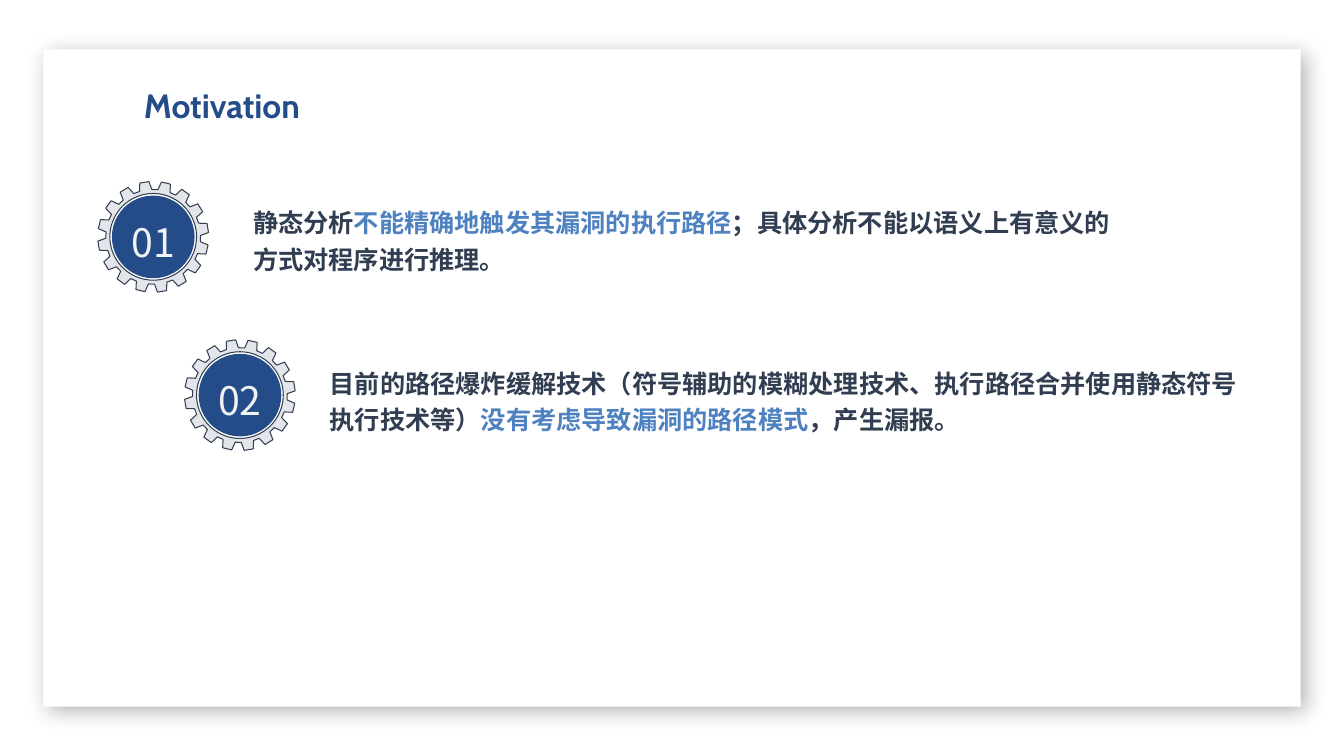
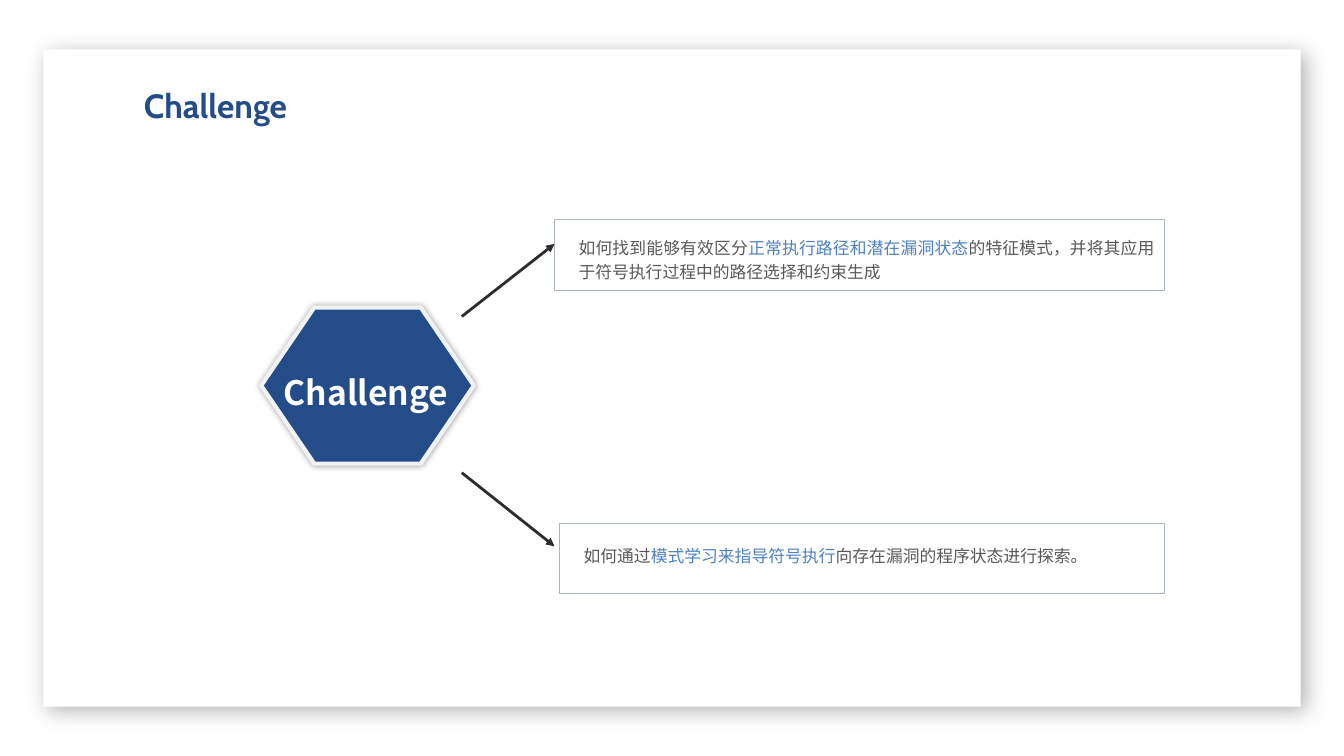
from math import cos, radians, sin

from lxml import etree
from pptx import Presentation
from pptx.dml.color import RGBColor
from pptx.enum.shapes import MSO_CONNECTOR, MSO_SHAPE
from pptx.enum.text import MSO_AUTO_SIZE, PP_ALIGN
from pptx.oxml.ns import qn
from pptx.util import Inches, Pt

RECTANGLE, OVAL, HEXAGON = MSO_SHAPE.RECTANGLE, MSO_SHAPE.OVAL, MSO_SHAPE.HEXAGON
STRAIGHT = MSO_CONNECTOR.STRAIGHT
LEFT, CENTER, JUSTIFY = PP_ALIGN.LEFT, PP_ALIGN.CENTER, PP_ALIGN.JUSTIFY

COLORS = {
    "white": "FFFFFF", "navy": "244C89", "highlight": "4E81C0", "ink": "313D51",
    "gray": "595959", "pale": "F0F2F4", "gear": "E2E6EA", "gear_edge": "333F50",
    "box_edge": "AAB5C1", "arrow": "2E2C2C", "shadow": "000000",
}
HAN = "Noto Sans CJK SC"
TITLE = {"size": Pt(24), "bold": True, "name": "Cabin"}
STATEMENT = {"size": Pt(18), "bold": True, "name": HAN}
NUMBER = {"size": Pt(28), "name": HAN}
HUB = {"size": Pt(24), "bold": True, "name": HAN}
QUESTION = {"size": Pt(12), "name": HAN}


def add_text(page, place, spans, style, align=LEFT, wrap=True, inset=True):
    box = page.shapes.add_textbox(*map(Inches, place))
    frame = box.text_frame
    frame.word_wrap = wrap
    frame.auto_size = MSO_AUTO_SIZE.NONE
    if not inset:
        for side in ("left", "top", "right", "bottom"):
            setattr(frame, f"margin_{side}", 0)
    para = frame.paragraphs[0]
    para.alignment = align
    para.line_spacing = 1.2
    for words, color in spans:
        span = para.add_run()
        span.text = words
        for name, value in style.items():
            setattr(span.font, name, value)
        span.font.color.rgb = RGBColor.from_string(COLORS[color])
        east_asian = etree.SubElement(span.font._element, qn("a:ea"))
        east_asian.set("typeface", style["name"])


def paint(shape, fill, line=None, width=0, shadow=None):
    shape.shadow.inherit = False
    shape.fill.solid()
    shape.fill.fore_color.rgb = RGBColor.from_string(COLORS[fill])
    if line:
        shape.line.color.rgb = RGBColor.from_string(COLORS[line])
        shape.line.width = Pt(width)
    else:
        shape.line.fill.background()
    if shadow:
        opacity, blur, distance, angle = shadow
        effects = shape._element.spPr.find(qn("a:effectLst"))
        outer = etree.SubElement(
            effects, qn("a:outerShdw"), blurRad=str(Pt(blur)), dist=str(Pt(distance)),
            dir=str(angle * 60000), algn="ctr", rotWithShape="0")
        color = etree.SubElement(outer, qn("a:srgbClr"), val=COLORS["shadow"])
        etree.SubElement(color, qn("a:alpha"), val=str(opacity * 1000))


deck = Presentation()
deck.slide_width, deck.slide_height = Inches(13.33), Inches(7.5)
pages = []
for title in ("Motivation", "Challenge"):
    page = deck.slides.add_slide(deck.slide_layouts[6])
    card = page.shapes.add_shape(RECTANGLE, *map(Inches, (0.43, 0.49, 12.47, 6.52)))
    paint(card, "white", shadow=(30, 15, 5, 45))
    add_text(page, (1.33, 0.71, 2.74, 0.54), [(title, "navy")], TITLE)
    pages.append(page)
motivation, challenge = pages

STATEMENTS = [
    ("01", 1.52, 2.35, (2.51, 2, 8.73, 0.7), [
        ("静态分析", "ink"),
        ("不能精确地触发其漏洞的执行路径", "highlight"),
        ("；具体分析不能以语义上有意义的方式对程序进行推理。", "ink")]),
    ("02", 2.38, 3.92, (3.27, 3.59, 9.14, 0.7), [
        ("目前的路径爆炸缓解技术（符号辅助的模糊处理技术、执行路径合并使用静态符号执行技术等）", "ink"),
        ("没有考虑导致漏洞的路径模式", "highlight"),
        ("，产生漏报。", "ink")]),
]
TEETH = 16
TOOTH_CORNERS = [(-7.5, 0.47), (-4.8, 0.55), (4.8, 0.55), (7.5, 0.47)]
rim = [(103.3 + tooth * 360 / TEETH + turn, radius)
       for tooth in range(TEETH) for turn, radius in TOOTH_CORNERS]
hole = [(angle, 0.43) for angle in range(0, 360, 5)]
disc_radius = 0.41

for number, center_x, center_y, place, spans in STATEMENTS:
    add_text(motivation, place, spans, STATEMENT, inset=False)
    outlines = [[(Inches(center_x + radius * cos(radians(angle))),
                  Inches(center_y + radius * sin(radians(angle))))
                 for angle, radius in ring] for ring in (hole, rim)]
    builder = motivation.shapes.build_freeform(*outlines[0][0])
    builder.add_line_segments(outlines[0][1:], close=True)
    builder.move_to(*outlines[1][0])
    builder.add_line_segments(outlines[1][1:], close=True)
    paint(builder.convert_to_shape(), "gear", "gear_edge", 0.75)
    disc = motivation.shapes.add_shape(
        OVAL, Inches(center_x - disc_radius), Inches(center_y - disc_radius),
        Inches(2 * disc_radius), Inches(2 * disc_radius))
    paint(disc, "navy")
    add_text(motivation, (center_x - 0.33, center_y - 0.33, 0.66, 0.62),
             [(number, "pale")], NUMBER, CENTER, wrap=False)

hub = challenge.shapes.add_shape(HEXAGON, *map(Inches, (2.59, 3.05, 2.11, 1.55)))
hub.adjustments[0] = 0.34
paint(hub, "navy", "pale", 3, shadow=(40, 5, 0, 0))
add_text(challenge, (2.67, 3.56, 1.92, 0.55), [("Challenge", "white")], HUB, CENTER)

QUESTIONS = [
    (3.14, 2.42, (5.5, 2.18, 6.05, 0.7), (5.64, 2.27, 5.91, 0.57), [
        ("如何找到能够有效区分", "gray"),
        ("正常执行路径和潜在漏洞状态", "highlight"),
        ("的特征模式，并将其应用于符号执行过程中的路径选择和约束生成", "gray")]),
    (4.69, 5.42, (5.55, 5.19, 6, 0.7), (5.69, 5.32, 5.86, 0.32), [
        ("如何通过", "gray"),
        ("模式学习来指导符号执行", "highlight"),
        ("向存在漏洞的程序状态进行探索。", "gray")]),
]
for start_y, end_y, box_place, text_place, spans in QUESTIONS:
    arrow = challenge.shapes.add_connector(
        STRAIGHT, *map(Inches, (4.58, start_y, 5.5, end_y)))
    arrow.line.color.rgb = RGBColor.from_string(COLORS["arrow"])
    arrow.line.width = Pt(0)
    etree.SubElement(arrow.line._get_or_add_ln(), qn("a:tailEnd"), type="triangle")
    etree.SubElement(arrow._element.spPr, qn("a:effectLst"))
    box = challenge.shapes.add_shape(RECTANGLE, *map(Inches, box_place))
    paint(box, "white", "box_edge")
    add_text(challenge, text_place, spans, QUESTION, JUSTIFY)

deck.save("out.pptx")
